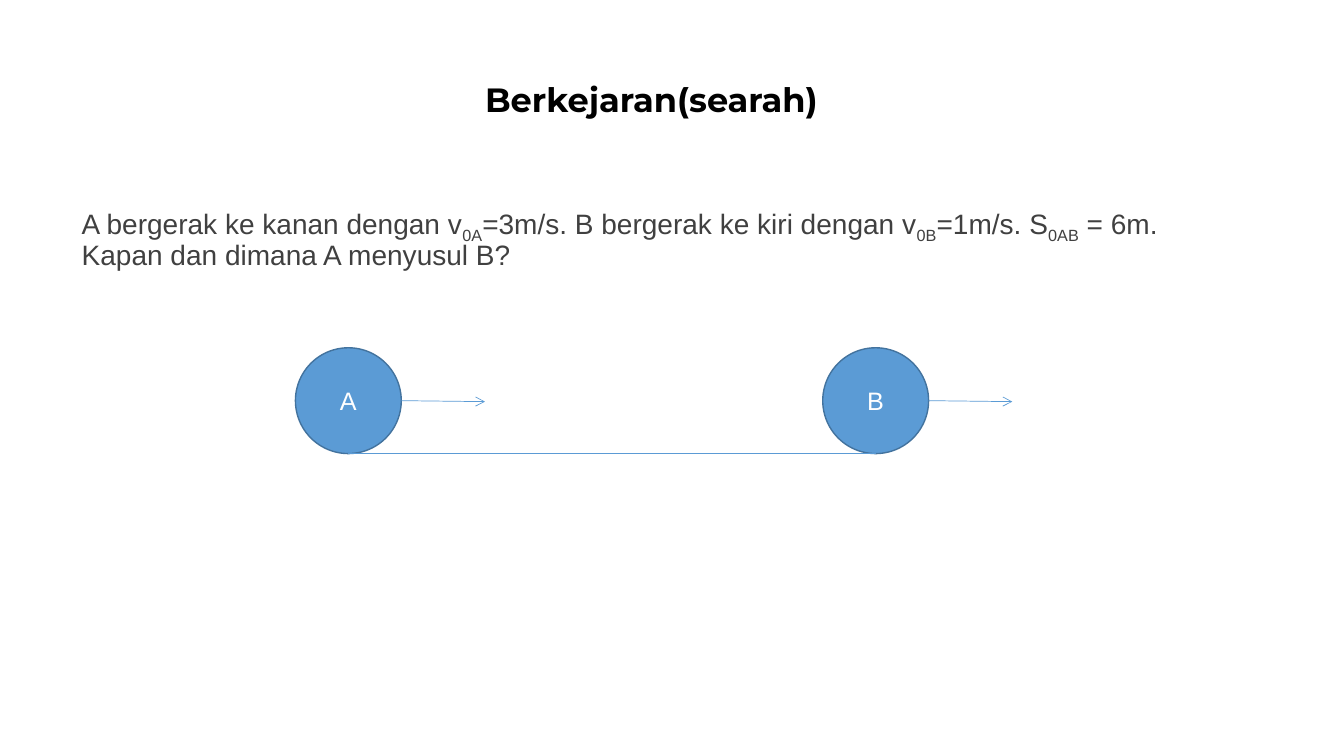
from dataclasses import dataclass

from lxml.etree import SubElement
from pptx import Presentation
from pptx.dml.color import RGBColor
from pptx.enum.shapes import MSO_CONNECTOR, MSO_SHAPE
from pptx.enum.text import MSO_ANCHOR, MSO_AUTO_SIZE, PP_ALIGN
from pptx.oxml.ns import qn
from pptx.util import Inches, Pt


@dataclass(frozen=True)
class Theme:
    title_font: str = "Montserrat"
    body_font: str = "Arial"
    title_size: int = 24
    body_size: int = 20
    label_size: int = 18
    title_color: str = "000000"
    body_color: str = "404040"
    label_color: str = "FFFFFF"
    ball_fill: str = "5B9BD5"
    ball_outline: str = "43739E"
    outline_width: float = 1
    line_width: float = 0.5


THEME = Theme()

# Layout in inches
SLIDE_WIDTH, SLIDE_HEIGHT = 13.33, 7.5
MARGIN, CONTENT_WIDTH = 0.71, 11.5
BALL_SIZE = 1.05
BALL_TOP = 3.45
BALL_LEFT = 2.93
BALL_DISTANCE = 5.23
ARROW_LENGTH, ARROW_DROP = 0.83, 0.01


def write_text(shape, pieces, *, font, size, color, bold=False,
               align=PP_ALIGN.LEFT, anchor=MSO_ANCHOR.TOP,
               line_spacing=1.0, space_before=0):
    """Write one paragraph from (text, is_subscript) pieces."""
    frame = shape.text_frame
    frame.word_wrap = True
    frame.auto_size = MSO_AUTO_SIZE.NONE
    frame.vertical_anchor = anchor
    paragraph = frame.paragraphs[0]
    paragraph.alignment = align
    paragraph.line_spacing = line_spacing
    paragraph.space_before = Pt(space_before)
    for text, is_subscript in pieces:
        run = paragraph.add_run()
        run.text = text
        run.font.name = font
        run.font.size = Pt(size)
        run.font.bold = bold
        run.font.color.rgb = RGBColor.from_string(color)
        if is_subscript:
            run.font._element.set("baseline", "-25000")
    return paragraph


def place(shape, left, top, width, height):
    shape.left, shape.top = Inches(left), Inches(top)
    shape.width, shape.height = Inches(width), Inches(height)


def remove_bullet(paragraph):
    properties = paragraph._p.get_or_add_pPr()
    properties.set("marL", "0")
    properties.set("indent", "0")
    SubElement(properties, qn("a:buNone"))


def add_ball(slide, label, left):
    ball = slide.shapes.add_shape(
        MSO_SHAPE.OVAL, Inches(left), Inches(BALL_TOP),
        Inches(BALL_SIZE), Inches(BALL_SIZE))
    ball.shadow.inherit = False
    ball.fill.solid()
    ball.fill.fore_color.rgb = RGBColor.from_string(THEME.ball_fill)
    ball.line.color.rgb = RGBColor.from_string(THEME.ball_outline)
    ball.line.width = Pt(THEME.outline_width)
    write_text(ball, [(label, False)], font=THEME.body_font,
               size=THEME.label_size, color=THEME.label_color,
               align=PP_ALIGN.CENTER, anchor=MSO_ANCHOR.MIDDLE)


def add_line(slide, start, end, arrow=False):
    connector = slide.shapes.add_connector(
        MSO_CONNECTOR.STRAIGHT, *map(Inches, start + end))
    connector.line.color.rgb = RGBColor.from_string(THEME.ball_fill)
    connector.line.width = Pt(THEME.line_width)
    if arrow:
        SubElement(connector.line._get_or_add_ln(), qn("a:tailEnd"), type="arrow")
    SubElement(connector._element.spPr, qn("a:effectLst"))


def main():
    presentation = Presentation()
    presentation.slide_width = Inches(SLIDE_WIDTH)
    presentation.slide_height = Inches(SLIDE_HEIGHT)
    slide = presentation.slides.add_slide(presentation.slide_layouts[1])

    # Title
    title = slide.shapes.title
    place(title, MARGIN, 0.28, CONTENT_WIDTH, 1.45)
    write_text(title, [("Berkejaran(searah)", False)], font=THEME.title_font,
               size=THEME.title_size, color=THEME.title_color, bold=True,
               align=PP_ALIGN.CENTER, anchor=MSO_ANCHOR.MIDDLE, line_spacing=0.9)

    # Problem statement
    problem = slide.placeholders[1]
    place(problem, MARGIN, 2, CONTENT_WIDTH, 4.76)
    pieces = [
        ("A bergerak ke kanan dengan v", False), ("0A", True),
        ("=3m/s. B bergerak ke kiri dengan v", False), ("0B", True),
        ("=1m/s. S", False), ("0AB", True),
        (" = 6m. Kapan dan dimana A menyusul B?", False),
    ]
    paragraph = write_text(problem, pieces, font=THEME.body_font,
                           size=THEME.body_size, color=THEME.body_color,
                           line_spacing=0.9, space_before=10)
    remove_bullet(paragraph)

    # Balls, ground between them, and velocity arrows
    lefts = [BALL_LEFT, BALL_LEFT + BALL_DISTANCE]
    for label, left in zip("AB", lefts):
        add_ball(slide, label, left)
    ground = BALL_TOP + BALL_SIZE
    start, end = [(left + BALL_SIZE / 2, ground) for left in lefts]
    add_line(slide, start, end)
    middle = BALL_TOP + BALL_SIZE / 2
    for left in lefts:
        right = left + BALL_SIZE
        add_line(slide, (right, middle),
                 (right + ARROW_LENGTH, middle + ARROW_DROP), arrow=True)

    presentation.save("out.pptx")


main()
